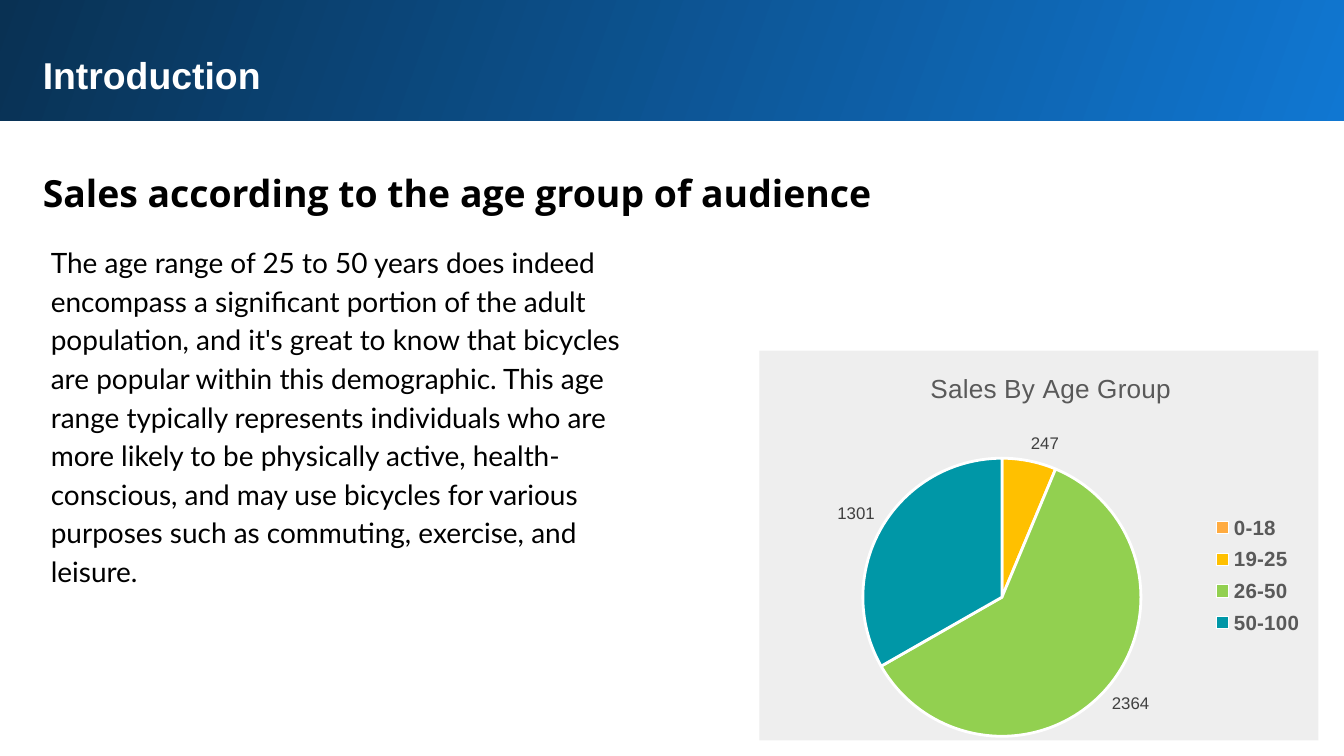
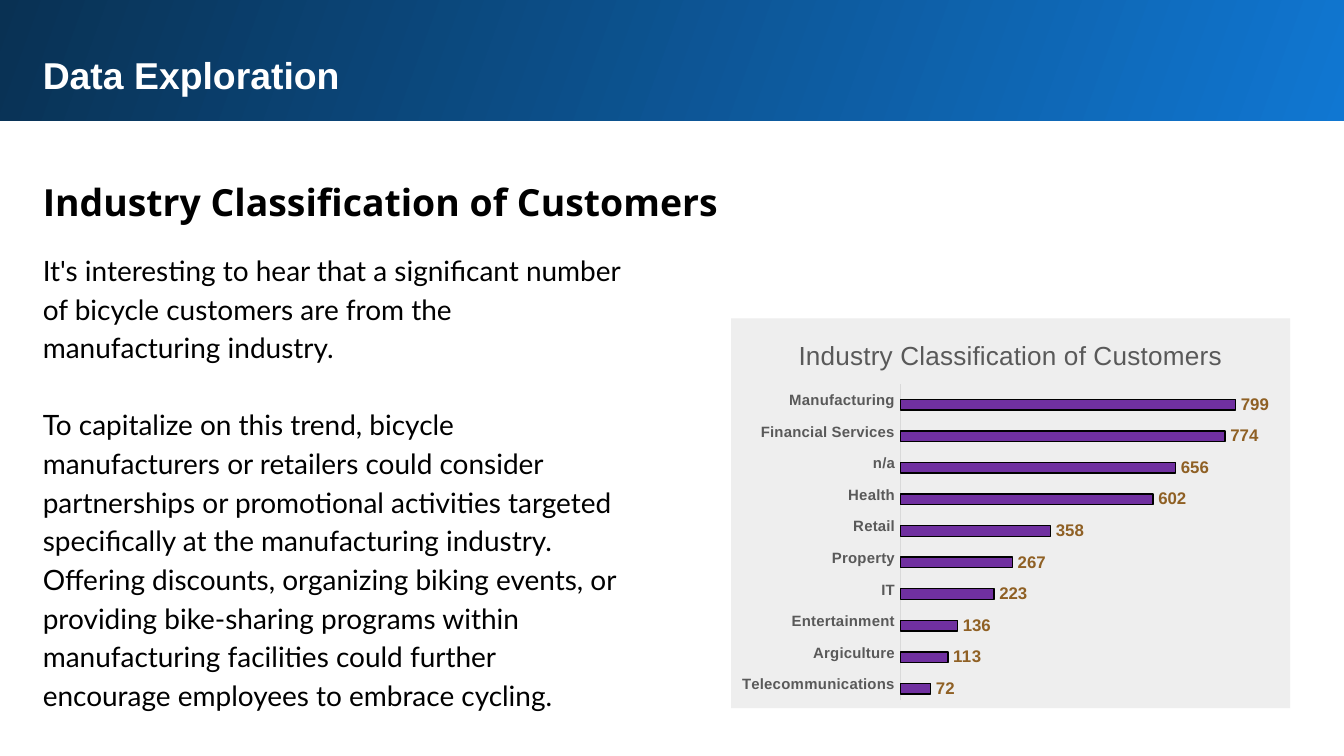
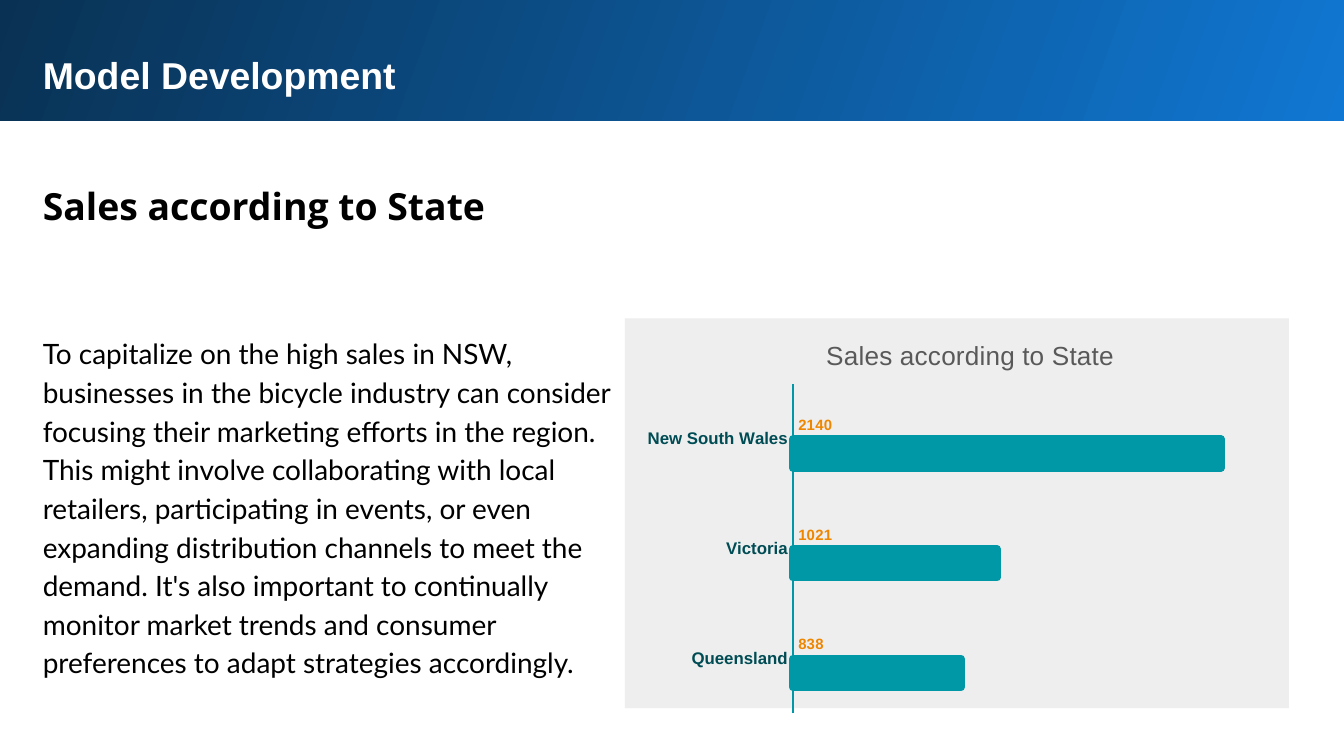
from dataclasses import dataclass

from lxml import etree
from pptx import Presentation
from pptx.chart.data import CategoryChartData
from pptx.dml.color import RGBColor
from pptx.enum.chart import XL_CHART_TYPE, XL_LABEL_POSITION, XL_LEGEND_POSITION, XL_TICK_MARK
from pptx.enum.shapes import MSO_SHAPE
from pptx.enum.text import MSO_AUTO_SIZE, PP_ALIGN
from pptx.oxml.ns import qn
from pptx.util import Inches, Pt

PIE, BAR = XL_CHART_TYPE.PIE, XL_CHART_TYPE.BAR_CLUSTERED
OUTSIDE_END, INSIDE_BASE = XL_LABEL_POSITION.OUTSIDE_END, XL_LABEL_POSITION.INSIDE_BASE
LEGEND_RIGHT, NO_TICKS = XL_LEGEND_POSITION.RIGHT, XL_TICK_MARK.NONE
RECTANGLE, LEFT, GROW = MSO_SHAPE.RECTANGLE, PP_ALIGN.LEFT, MSO_AUTO_SIZE.SHAPE_TO_FIT_TEXT


@dataclass(frozen=True)
class Theme:
    """Colours, fonts and type sizes shared by the slides."""

    white: str = "FFFFFF"
    black: str = "000000"
    band_start: str = "1077D2"
    band_end: str = "093153"
    panel: str = "EEEEEE"
    muted: str = "595959"
    pie_label: str = "404040"
    axis: str = "D9D9D9"
    orange: str = "FFAB40"
    amber: str = "FFC000"
    green: str = "92D050"
    teal: str = "0097A7"
    dark_teal: str = "004C54"
    purple: str = "7030A0"
    brown: str = "8F6024"
    deep_orange: str = "EF8600"
    chart_font: str = "Arial"
    heading_font: str = "Open Sans"
    body_font: str = "Lato"
    heading_size: float = 20
    body_size: float = 15
    chart_title_size: float = 14
    legend_size: float = 11
    chart_size: float = 10
    label_size: float = 9
    small_size: float = 8
    line_spacing: float = 1.15
    paragraph_gap: float = 20.6


THEME = Theme()
AGE_SALES = {"0-18": 0, "19-25": 247, "26-50": 2364, "50-100": 1301}
INDUSTRY_CUSTOMERS = {
    "Telecommunications": 72, "Argiculture": 113, "Entertainment": 136, "IT": 223,
    "Property": 267, "Retail": 358, "Health": 602, "n/a": 656,
    "Financial Services": 774, "Manufacturing": 799,
}
STATE_SALES = {"Queensland": (840, 838), "Victoria": (1020, 1021), "New South Wales": (2140, 2140)}

AGE_TEXT = (
    "The age range of 25 to 50 years does indeed encompass a significant portion of the adult "
    "population, and it's great to know that bicycles are popular within this demographic. This "
    "age range typically represents individuals who are more likely to be physically active, "
    "health-conscious, and may use bicycles for various purposes such as commuting, exercise, "
    "and leisure.",
)
INDUSTRY_TEXT = (
    "It's interesting to hear that a significant number of bicycle customers are from the "
    "manufacturing industry.",
    "To capitalize on this trend, bicycle manufacturers or retailers could consider partnerships "
    "or promotional activities targeted specifically at the manufacturing industry. Offering "
    "discounts, organizing biking events, or providing bike-sharing programs within "
    "manufacturing facilities could further encourage employees to embrace cycling.",
)
STATE_TEXT = (
    "To capitalize on the high sales in NSW, businesses in the bicycle industry can consider "
    "focusing their marketing efforts in the region. This might involve collaborating with local "
    "retailers, participating in events, or even expanding distribution channels to meet the "
    "demand. It's also important to continually monitor market trends and consumer preferences "
    "to adapt strategies accordingly.",
)


def rgb(colour):
    """Turn a hexadecimal string into a colour."""
    return RGBColor.from_string(colour)


def inches(box):
    """Turn left, top, width and height into lengths."""
    return [Inches(value) for value in box]


def style_font(font, size, colour, name=THEME.chart_font, bold=False):
    """Apply one text format."""
    font.size, font.name, font.bold = Pt(size), name, bold
    font.color.rgb = rgb(colour)


def add_text(slide, box, paragraphs, line_spacing=THEME.line_spacing, **text_format):
    """Add a wrapping text box with one format for all its paragraphs."""
    frame = slide.shapes.add_textbox(*inches(box)).text_frame
    frame.word_wrap, frame.auto_size = True, GROW
    frame.margin_left = frame.margin_right = frame.margin_top = frame.margin_bottom = Inches(0.1)
    for index, text in enumerate(paragraphs):
        paragraph = frame.add_paragraph() if index else frame.paragraphs[0]
        paragraph.alignment, paragraph.line_spacing = LEFT, line_spacing
        paragraph.space_before = Pt(THEME.paragraph_gap if index else 0)
        run = paragraph.add_run()
        run.text = text
        style_font(run.font, **text_format)


def add_rectangle(slide, box):
    """Add a rectangle without line or shadow."""
    shape = slide.shapes.add_shape(RECTANGLE, *inches(box))
    shape.shadow.inherit = False
    shape.line.fill.background()
    return shape


def add_band(slide, box, title):
    """Add the gradient band with the slide title."""
    left, top, width, _ = box
    fill = add_rectangle(slide, box).fill
    fill.gradient()
    fill.gradient_angle = 160
    for stop, colour in zip(fill.gradient_stops, (THEME.band_start, THEME.band_end)):
        stop.color.rgb = rgb(colour)
    add_text(slide, (left + 0.24, top + 0.31, width - 0.68, 0.51), [title], line_spacing=1.0,
             size=THEME.heading_size, colour=THEME.white, bold=True)


def add_panel(slide, box):
    """Add the grey panel behind a chart."""
    fill = add_rectangle(slide, box).fill
    fill.solid()
    fill.fore_color.rgb = rgb(THEME.panel)


def set_layout(element, position, chart_box, part_box, inner=False):
    """Place a chart part, given in inches from the chart corner."""
    for previous in element.findall(qn("c:layout")):
        element.remove(previous)
    layout = etree.Element(qn("c:layout"))
    manual = etree.SubElement(layout, qn("c:manualLayout"))
    settings = [("layoutTarget", "inner")] if inner else []
    settings += [("xMode", "edge"), ("yMode", "edge")]
    sizes = chart_box[2:] * 2
    settings += [(name, str(part / size)) for name, part, size in zip("xywh", part_box, sizes)]
    for name, value in settings:
        etree.SubElement(manual, qn(f"c:{name}")).set("val", value)
    element.insert(position, layout)


def add_chart(slide, box, kind, title, categories, series_values, plot_box):
    """Add a titled chart with a fixed plot area."""
    chart_data = CategoryChartData()
    chart_data.categories = categories
    for number, values in enumerate(series_values, 1):
        chart_data.add_series(f"Series {number}", values)
    chart = slide.shapes.add_chart(kind, *inches(box), chart_data).chart
    style_font(chart.font, THEME.chart_size, THEME.black)
    chart.has_legend = False
    chart.has_title = True
    frame = chart.chart_title.text_frame
    frame.text = title
    style_font(frame.paragraphs[0].runs[0].font, THEME.chart_title_size, THEME.muted)
    chart.chart_title.include_in_layout = False
    chart.plots[0].vary_by_categories = kind == PIE
    set_layout(chart._chartSpace.find(".//" + qn("c:plotArea")), 0, box, plot_box, inner=True)
    return chart


def add_labels(series, position, size, colour, bold=True):
    """Show the values of a series, leaving zero out."""
    labels = series.data_labels
    labels.show_value, labels.position = True, position
    labels.number_format, labels.number_format_is_linked = "0;;", False
    style_font(labels.font, size, colour, bold=bold)


def paint(part_format, fill, line, width):
    """Fill and outline a series or a point."""
    part_format.fill.solid()
    part_format.fill.fore_color.rgb = rgb(fill)
    part_format.line.color.rgb = rgb(line)
    part_format.line.width = Pt(width)


def add_age_chart(slide, box):
    """Add the pie of sales by age group."""
    chart = add_chart(slide, box, PIE, "Sales By Age Group", list(AGE_SALES),
                      [list(AGE_SALES.values())], (1.1, 0.79, 2.07, 2.07))
    series = chart.plots[0].series[0]
    for index, colour in enumerate((THEME.orange, THEME.amber, THEME.green, THEME.teal)):
        paint(series.points[index].format, colour, THEME.white, 1.5)
    add_labels(series, OUTSIDE_END, THEME.label_size, THEME.pie_label, bold=False)
    chart.has_legend = True
    legend = chart.legend
    legend.position, legend.include_in_layout = LEGEND_RIGHT, False
    style_font(legend.font, THEME.legend_size, THEME.muted, bold=True)
    set_layout(legend._element, 1, box, (3.64, 1.16, 0.8, 1))


def style_bars(chart, maximum, gap, overlap, axis_colour, label_size, label_colour):
    """Set the axes and the bar spacing of a bar chart."""
    plot, values, categories = chart.plots[0], chart.value_axis, chart.category_axis
    plot.gap_width, plot.overlap = gap, overlap
    values.minimum_scale, values.maximum_scale = 0, maximum
    values.has_major_gridlines = values.visible = False
    categories.major_tick_mark = categories.minor_tick_mark = NO_TICKS
    categories.format.line.color.rgb = rgb(axis_colour)
    categories.format.line.width = Pt(0.75)
    style_font(categories.tick_labels.font, label_size, label_colour, bold=True)
    return plot.series


def add_industry_chart(slide, box):
    """Add the bars of customers by industry."""
    chart = add_chart(slide, box, BAR, "Industry Classification of Customers",
                      list(INDUSTRY_CUSTOMERS),
                      [list(INDUSTRY_CUSTOMERS.values()), [None] * len(INDUSTRY_CUSTOMERS)],
                      (1.26, 0.49, 2.81, 2.35))
    customers, _ = style_bars(chart, 900, 110, 14, THEME.axis, THEME.small_size, THEME.muted)
    paint(customers.format, THEME.purple, THEME.black, 0.75)
    add_labels(customers, OUTSIDE_END, THEME.label_size, THEME.brown)


def add_state_chart(slide, box):
    """Add the bars of sales by state, labelled by an unfilled series."""
    chart = add_chart(slide, box, BAR, "Sales according to State", list(STATE_SALES),
                      list(zip(*STATE_SALES.values())), (1.18, 0.49, 3.72, 2.45))
    sales, captions = style_bars(chart, 2500, 182, 0, THEME.teal, THEME.label_size,
                                 THEME.dark_teal)
    paint(sales.format, THEME.teal, THEME.teal, 4.25)
    captions.format.fill.background()
    captions.format.line.fill.background()
    add_labels(captions, INSIDE_BASE, THEME.small_size, THEME.deep_orange)


def add_content_slide(presentation, title, heading, heading_top, body, body_box, panel_box,
                      chart_box, draw_chart):
    """Add a slide with band, heading, body text and a chart on a panel."""
    slide = presentation.slides.add_slide(presentation.slide_layouts[6])
    add_band(slide, (-0.02, -0.02, 10.05, 0.92), title)
    add_text(slide, (0.22, heading_top, 9.37, 0.56), [heading], size=THEME.heading_size,
             colour=THEME.black, name=THEME.heading_font, bold=True)
    add_text(slide, body_box, body, size=THEME.body_size, colour=THEME.black,
             name=THEME.body_font)
    add_panel(slide, panel_box)
    draw_chart(slide, chart_box)


def main():
    """Build and save the presentation."""
    presentation = Presentation()
    presentation.slide_width = Inches(10)
    presentation.slide_height = presentation.slide_width * 9 // 16
    add_content_slide(presentation, "Introduction", "Sales according to the age group of audience",
                      1.12, AGE_TEXT, (0.28, 1.69, 4.52, 2.51), (5.65, 2.61, 4.16, 2.9),
                      (5.32, 2.62, 5, 3), add_age_chart)
    add_content_slide(presentation, "Data Exploration", "Industry Classification of Customers",
                      1.18, INDUSTRY_TEXT, (0.22, 1.75, 4.52, 3.96), (5.44, 2.37, 4.16, 2.9),
                      (5.44, 2.37, 4.16, 2.9), add_industry_chart)
    add_content_slide(presentation, "Model Development", "Sales according to State",
                      1.21, STATE_TEXT, (0.22, 2.37, 4.52, 2.51), (4.65, 2.37, 4.94, 2.9),
                      (4.72, 2.37, 5, 3), add_state_chart)
    presentation.save("out.pptx")


if __name__ == "__main__":
    main()
